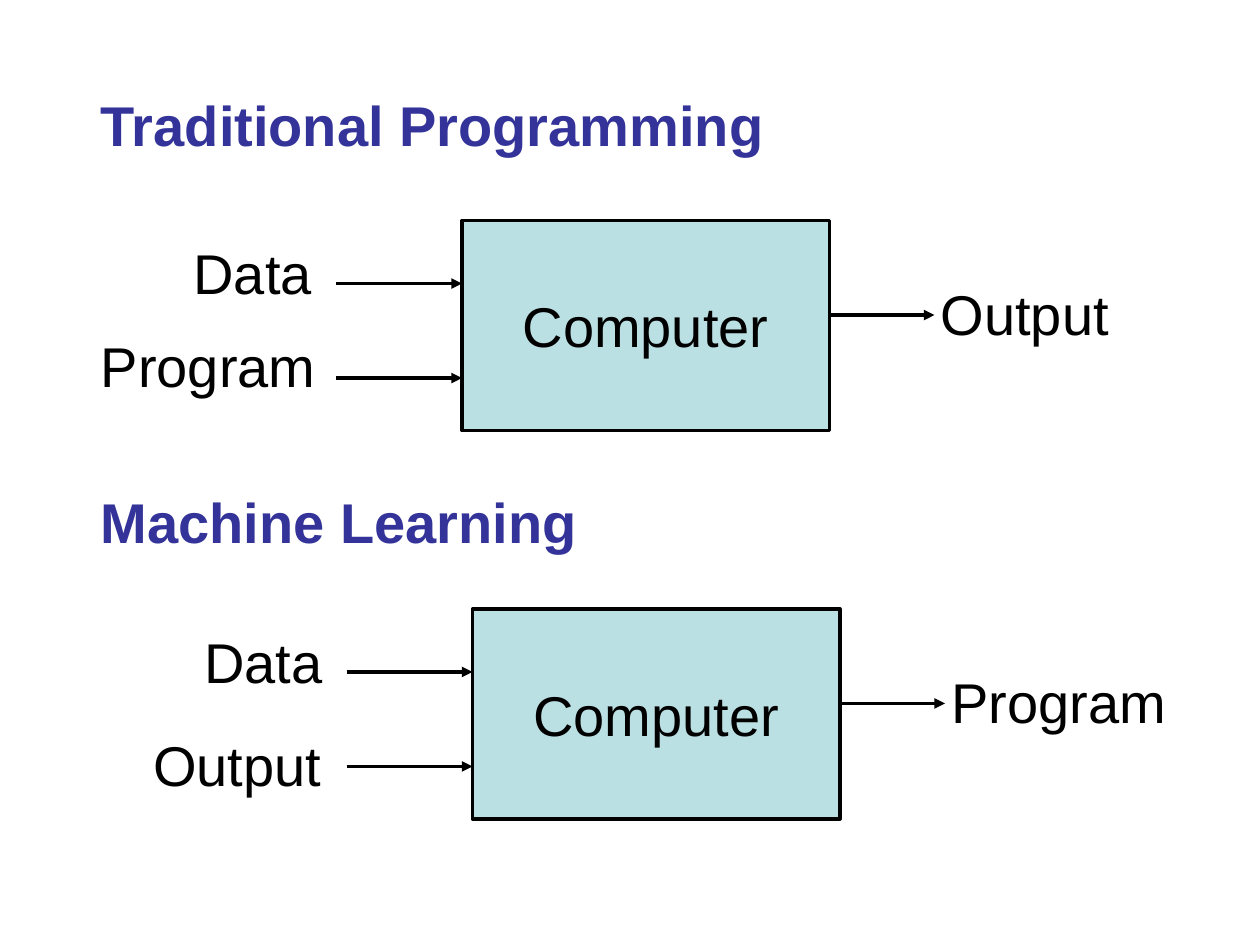
from dataclasses import dataclass

from lxml import etree
from pptx import Presentation
from pptx.dml.color import RGBColor
from pptx.enum import shapes, text
from pptx.oxml import ns
from pptx.util import Pt


@dataclass(frozen=True)
class Theme:
    """Hold the colours, font and sizes of the slide."""
    heading: RGBColor = RGBColor(0x33, 0x33, 0x99)
    ink: RGBColor = RGBColor(0, 0, 0)
    fill: RGBColor = RGBColor(0xBB, 0xE0, 0xE3)
    font: str = "Arial"
    size: float = 32
    line: float = 2
    inset: float = 3.6


THEME = Theme()
LABEL_WIDTHS = {"Data": 76, "Program": 131, "Output": 105}
LABEL_HEIGHT = 43


def write(shape, words, color=THEME.ink, bold=False, align=text.PP_ALIGN.LEFT):
    """Fill a shape with one formatted line of text."""
    frame = shape.text_frame
    margins = {f"margin_{side}": Pt(THEME.inset)
               for side in ("left", "top", "right", "bottom")}
    for name, value in {"word_wrap": True, **margins}.items():
        setattr(frame, name, value)
    para = frame.paragraphs[0]
    para.alignment = align
    span = para.add_run()
    span.text = words
    font = {"name": THEME.font, "size": Pt(THEME.size), "bold": bold}
    for name, value in font.items():
        setattr(span.font, name, value)
    span.font.color.rgb = color


def add_label(page, words, left, top):
    """Place a data, program or output label."""
    box = page.shapes.add_textbox(
        Pt(left), Pt(top), Pt(LABEL_WIDTHS[words]), Pt(LABEL_HEIGHT))
    write(box, words)


def add_heading(page, words, left, top):
    """Place the bold heading of a diagram."""
    box = page.shapes.add_textbox(Pt(left), Pt(top), Pt(600), Pt(LABEL_HEIGHT))
    write(box, words, THEME.heading, bold=True)


def add_arrow(page, left, top, length):
    """Draw a level arrow that points right."""
    arrow = page.shapes.add_connector(
        shapes.MSO_CONNECTOR.STRAIGHT,
        Pt(left), Pt(top), Pt(left + length), Pt(top))
    arrow.line.width = Pt(THEME.line)
    arrow.line.color.rgb = THEME.ink
    etree.SubElement(arrow.line._get_or_add_ln(), ns.qn("a:tailEnd"), type="triangle")
    etree.SubElement(arrow._element.spPr, ns.qn("a:effectLst"))


def add_computer(page, left, top, width, height):
    """Draw the computer block with its name."""
    block = page.shapes.add_shape(
        shapes.MSO_SHAPE.RECTANGLE, Pt(left), Pt(top), Pt(width), Pt(height))
    block.shadow.inherit = False
    block.fill.solid()
    block.fill.fore_color.rgb = THEME.fill
    block.line.color.rgb = THEME.ink
    block.line.width = Pt(THEME.line)
    block.text_frame.vertical_anchor = text.MSO_ANCHOR.MIDDLE
    write(block, "Computer", align=text.PP_ALIGN.CENTER)


def add_diagram(page, left, top, inputs, result):
    """Place a computer at a corner, with its inputs and result around it."""
    width, height, reach_in, reach_out = 210, 120, 72, 60
    add_computer(page, left, top, width, height)
    for arrow_drop, (words, shift, drop) in zip((36, 90), inputs):
        add_arrow(page, left - reach_in, top + arrow_drop, reach_in)
        add_label(page, words, left + shift, top + drop)
    add_arrow(page, left + width, top + 54, reach_out)
    add_label(page, result, left + width + reach_out, top + 30)


def main():
    """Build and save the slide."""
    deck = Presentation()
    deck.slide_width, deck.slide_height = Pt(720), Pt(540)
    page = deck.slides.add_slide(deck.slide_layouts[6])
    add_heading(page, "Traditional Programming", 54, 48)
    add_diagram(page, 264, 126,
                [("Data", -157, 7), ("Program", -210, 60)], "Output")
    add_heading(page, "Machine Learning", 54, 275)
    add_diagram(page, 270, 348,
                [("Data", -157, 7), ("Output", -186, 66)], "Program")
    deck.save("out.pptx")


if __name__ == "__main__":
    main()
